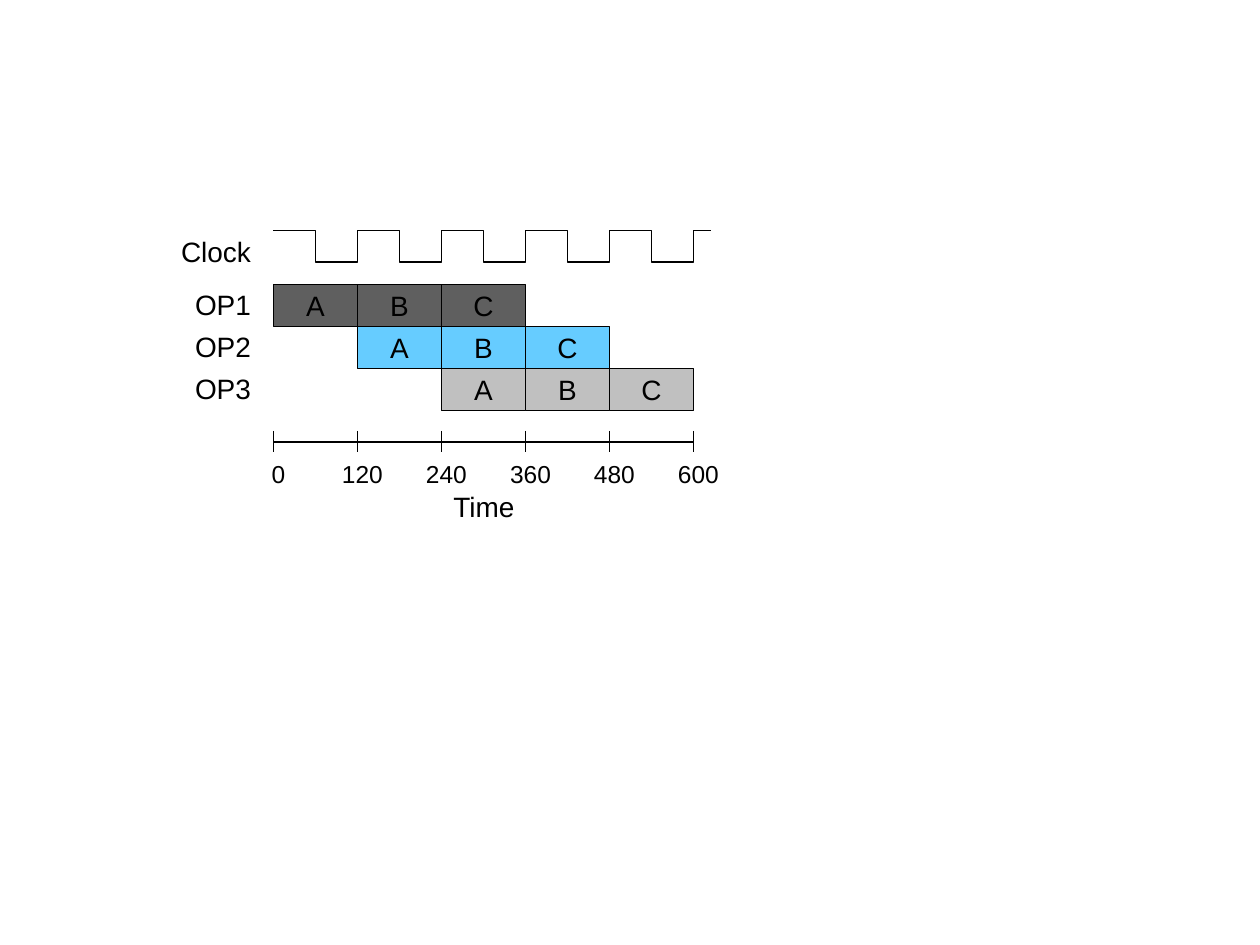
from lxml import etree
from pptx import Presentation, util as u
from pptx.dml.color import RGBColor
from pptx.enum import shapes, text
from pptx.oxml import ns

LEFT, STEP, ROW = 2.17, 2 / 3, 1 / 3


def color(code):
    """Turn a hex string into a colour."""
    return RGBColor.from_string(code)


class Chart:
    """Style and current slide of the timing chart."""

    font, ink, paper = "Arial", "000000", "FFFFFF"

    def __init__(self, slide):
        """Keep the slide to draw on."""
        self.slide = slide

    def letter(self, shape, words, size, align, wrap):
        """Put styled text into a shape."""
        frame = shape.text_frame
        frame.text = words
        frame.word_wrap = wrap
        para = frame.paragraphs[0]
        para.alignment = align
        for run in para.runs:
            run.font.name = self.font
            run.font.size = u.Pt(size)
            run.font.color.rgb = color(self.ink)

    def stroke(self, line, width=0.75):
        """Give a line its colour and width."""
        line.color.rgb = color(self.ink)
        line.width = u.Pt(width)

    def box(self, x, y, wide, words, fill, align, edge=True):
        """Draw a filled box with text."""
        shape = self.slide.shapes.add_shape(
            shapes.MSO_SHAPE.RECTANGLE,
            u.Inches(x), u.Inches(y), u.Inches(wide), u.Inches(ROW))
        shape.shadow.inherit = False
        shape.fill.solid()
        shape.fill.fore_color.rgb = color(fill)
        if edge:
            self.stroke(shape.line)
        else:
            shape.line.fill.background()
        self.letter(shape, words, 16, align, False)
        shape.text_frame.vertical_anchor = text.MSO_ANCHOR.MIDDLE

    def label(self, y, words):
        """Name a row at its left."""
        self.box(1.17, y, 0.92, words, self.paper, text.PP_ALIGN.RIGHT, False)

    def note(self, x, y, wide, high, words, size, align, wrap):
        """Add a text box."""
        shape = self.slide.shapes.add_textbox(
            u.Inches(x), u.Inches(y), u.Inches(wide), u.Inches(high))
        self.letter(shape, words, size, align, wrap)
        shape.text_frame.auto_size = text.MSO_AUTO_SIZE.SHAPE_TO_FIT_TEXT

    def line(self, x1, y1, x2, y2, width=0.75):
        """Draw a straight line."""
        link = self.slide.shapes.add_connector(
            shapes.MSO_CONNECTOR.STRAIGHT,
            u.Inches(x1), u.Inches(y1), u.Inches(x2), u.Inches(y2))
        self.stroke(link.line, width)
        etree.SubElement(link._element.spPr, ns.qn("a:effectLst"))

    def wave(self, high, low, count, end):
        """Draw the clock signal."""
        pts = [(LEFT, high)]
        for i in range(count):
            x = LEFT + i * STEP
            mid, last = x + STEP / 2, x + STEP
            pts += [(mid, high), (mid, low), (last, low), (last, high)]
        pts.append((end, high))
        first, *rest = [(u.Inches(x), u.Inches(y)) for x, y in pts]
        trace = self.slide.shapes.build_freeform(*first)
        trace.add_line_segments(rest, close=False)
        shape = trace.convert_to_shape()
        shape.shadow.inherit = False
        shape.fill.background()
        self.stroke(shape.line)


def main():
    """Build and save the slide."""
    deck = Presentation()
    deck.slide_width, deck.slide_height = u.Inches(10), u.Inches(7.5)
    chart = Chart(deck.slides.add_slide(deck.slide_layouts[6]))
    mid = text.PP_ALIGN.CENTER

    chart.note(3.5, 3.84, 0.69, 0.36, "Time", 16, text.PP_ALIGN.LEFT, False)
    for row, fill in enumerate(("5F5F5F", "66CCFF", "C0C0C0")):
        chart.label(2.25 + row * ROW, f"OP{row + 1}")
        for col, stage in enumerate("ABC", row):
            chart.box(LEFT + col * STEP, 2.26 + row * ROW, STEP, stage,
                      fill, mid)

    chart.line(LEFT, 3.51, LEFT + 5 * STEP, 3.51, 1)
    for tick in range(6):
        x = LEFT + tick * STEP
        chart.line(x, 3.42, x, 3.59)
        chart.note(x - 0.25, 3.59, 0.58, 0.34, str(tick * 120), 14, mid, True)

    chart.wave(1.83, 2.08, 5, 5.64)
    chart.label(1.83, "Clock")
    deck.save("out.pptx")


if __name__ == "__main__":
    main()
